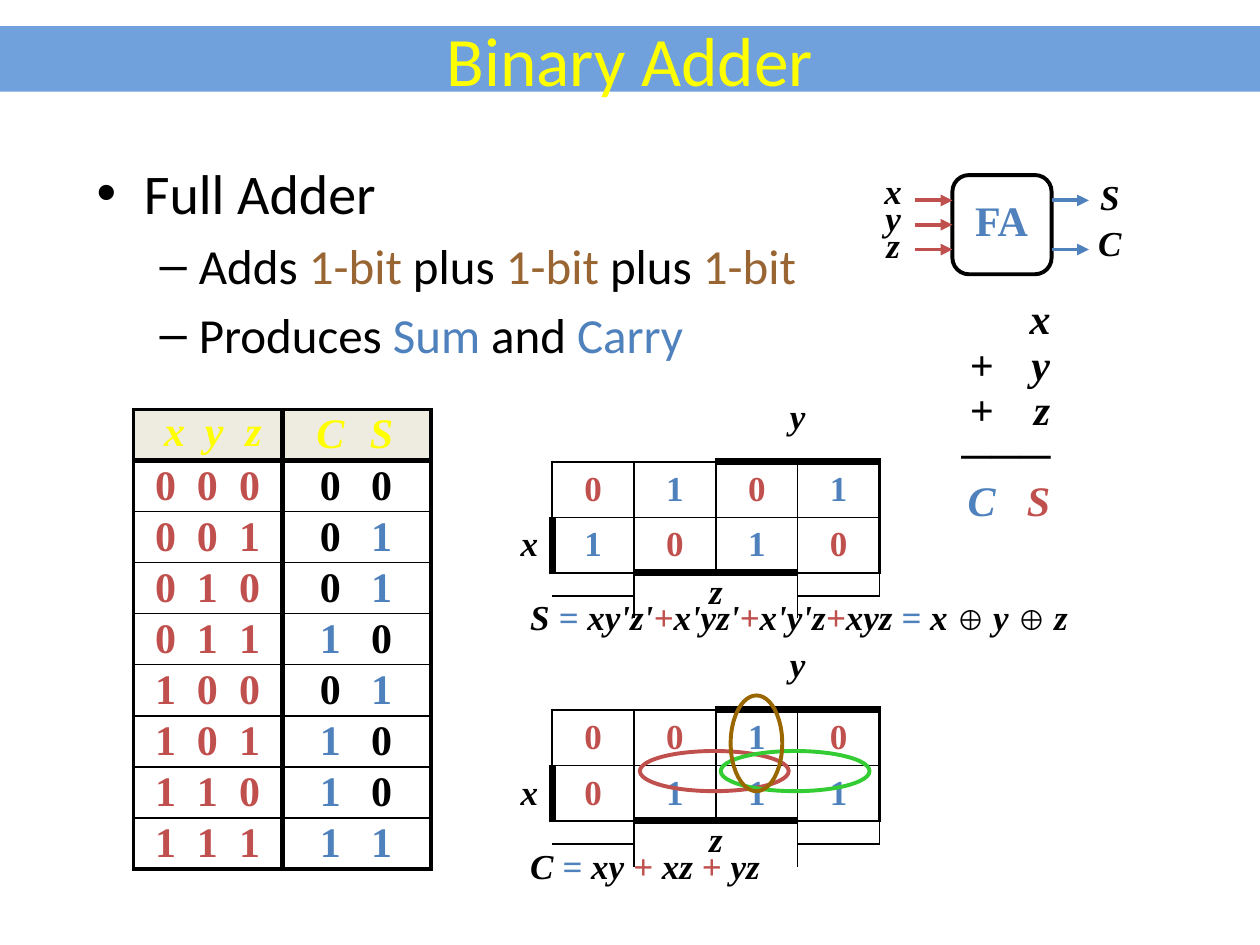
"""Build the Binary Adder slide."""
from dataclasses import dataclass
from itertools import product
from pptx import Presentation
from pptx import util as u
from pptx.dml import color
from pptx.enum import shapes, text
from pptx.oxml import ns, xmlchemy

BLACK, RED, BLUE, BROWN, YELLOW = "000000", "C0504D", "4F81BD", "996633", "FFFF00"
LEFT, MID, RIGHT = text.PP_ALIGN.LEFT, text.PP_ALIGN.CENTER, text.PP_ALIGN.RIGHT
TOP, CENTER = text.MSO_ANCHOR.TOP, text.MSO_ANCHOR.MIDDLE
PLAIN = "{2D5ABB26-0587-4C30-8999-92F81FD0307C}"


@dataclass
class Run:
    txt: str
    hue: str = BLACK
    size: float = 20
    slant: bool = True
    bold: bool = True
    font: str = "Times New Roman"


@dataclass
class Para:
    runs: list
    align: int = LEFT
    gap: float = 0
    lead: float = 1
    stops: tuple = ()
    dent: tuple = ()
    mark: str = ""


@dataclass
class Box:
    left: float
    top: float
    width: float
    height: float

    def place(self) -> tuple:
        """Give the four lengths."""
        return tuple(u.Cm(n) for n in (self.left, self.top, self.width, self.height))


def rgb(code: str) -> color.RGBColor:
    """Turn a hex string into a colour."""
    return color.RGBColor.from_string(code)


def add(parent, tag: str, **attrs):
    """Append a DrawingML child element."""
    child = xmlchemy.OxmlElement(tag)
    for key, val in attrs.items():
        child.set(key, str(val))
    parent.append(child)
    return child


def write(frame, paras: list) -> None:
    """Write paragraphs into a text frame, run by run."""
    for num, item in enumerate(paras):
        para = frame.add_paragraph() if num else frame.paragraphs[0]
        props = para._p.get_or_add_pPr()
        if item.mark:
            margin, hang = item.dent
            props.set("marL", str(u.Cm(margin)))
            props.set("indent", str(u.Cm(-hang)))
            add(props, "a:buFont", typeface="Arial")
            add(props, "a:buChar", char=item.mark)
        if item.stops:
            tabs = add(props, "a:tabLst")
            for spot, kind in item.stops:
                add(tabs, "a:tab", pos=u.Cm(spot), algn=kind)
        para.alignment, para.line_spacing = item.align, item.lead
        para.space_before = u.Pt(item.gap if num else 0)
        for part in item.runs:
            run = para.add_run()
            run.text = part.txt
            font = run.font
            font.name, font.size = part.font, u.Pt(part.size)
            font.bold, font.italic = part.bold, part.slant
            font.color.rgb = rgb(part.hue)


def label(slide, box: Box, paras: list, inset: bool = False, wrap: bool = True) -> None:
    """Add a text box."""
    frame = slide.shapes.add_textbox(*box.place()).text_frame
    frame.word_wrap = wrap
    if not inset:
        frame.margin_left = frame.margin_right = frame.margin_top = frame.margin_bottom = 0
    write(frame, paras)


def outline(slide, kind, box: Box, hue: str) -> None:
    """Add an unfilled shape."""
    shape = slide.shapes.add_shape(kind, *box.place())
    shape.shadow.inherit = False
    shape.fill.background()
    shape.line.color.rgb, shape.line.width = rgb(hue), u.Pt(2.25)


def arrow(slide, start: float, end: float, level: float, hue: str) -> None:
    """Add a level arrow."""
    ends = [u.Cm(n) for n in (start, level, end, level)]
    line = slide.shapes.add_connector(shapes.MSO_CONNECTOR.STRAIGHT, *ends)
    line.line.color.rgb, line.line.width = rgb(hue), u.Pt(2.25)
    add(line.line._get_or_add_ln(), "a:tailEnd", type="triangle")
    add(line._element.spPr, "a:effectLst")


def grid(slide, left: float, top: float, cols: list, rows: list):
    """Add a table without a style."""
    box = Box(left, top, sum(cols), sum(rows))
    table = slide.shapes.add_table(len(rows), len(cols), *box.place()).table
    table.first_row = table.horz_banding = False
    table._tbl.tblPr.find(ns.qn("a:tableStyleId")).text = PLAIN
    for col, size in zip(table.columns, cols):
        col.width = u.Cm(size)
    for row, size in zip(table.rows, rows):
        row.height = u.Cm(size)
    return table


def cell(table, row: int, col: int, para: Para = None, anchor=CENTER, fill: str = "", **edges) -> None:
    """Fill one cell; edges are widths keyed L, R, T, B."""
    spot = table.cell(row, col)
    spot.margin_left = spot.margin_right = spot.margin_top = spot.margin_bottom = 0
    spot.vertical_anchor = anchor
    props = spot._tc.get_or_add_tcPr()
    for side in "LRTB":
        if side in edges:
            line = add(props, "a:ln" + side, w=u.Pt(edges[side]))
            add(add(line, "a:solidFill"), "a:srgbClr", val=BLACK)
    if fill:
        spot.fill.solid()
        spot.fill.fore_color.rgb = rgb(fill)
    else:
        spot.fill.background()
    if para:
        write(spot.text_frame, [para])
    else:
        add(spot.text_frame.paragraphs[0]._p, "a:endParaRPr", sz=100)


def truth(slide) -> None:
    """Draw the truth table."""
    table = grid(slide, 2.69, 8.25, [3, 3], [1.03] * 9)
    ins, outs = [(n, "ctr") for n in (0.65, 1.49, 2.34)], [(n, "ctr") for n in (0.97, 2)]
    heads = [(n, "ctr") for n in (0.83, 1.63, 2.42)]
    lines = [([Run("\tx\ty\tz", YELLOW, 24)], [Run("\tC\tS", YELLOW, 24)])]
    for bits in product((0, 1), repeat=3):
        given = [Run(f"\t{n}", RED, 24, False) for n in bits]
        made = [Run(f"\t{n}", BLUE if n else BLACK, 24, False) for n in (sum(bits) // 2, sum(bits) % 2)]
        lines.append((given, made))
    for row, (given, made) in enumerate(lines):
        edges = {"T": {0: 2.25, 1: 3}.get(row, 1), "B": {0: 3, 8: 2.25}.get(row, 1)}
        fill = "" if row else "EEECE1"
        cell(table, row, 0, Para(given, stops=ins if row else heads), CENTER if row else TOP, fill, L=2.25, R=3, **edges)
        cell(table, row, 1, Para(made, stops=outs), CENTER, fill, L=3, R=2.25, **edges)


def kmap(slide, top: float, bits: tuple) -> None:
    """Draw a Karnaugh map from two rows of bits."""
    table = grid(slide, 10.21, top, [0.46] * 2 + [1.65] * 4, [0.43] * 2 + [1.12] * 2 + [0.46] * 2)
    notes = {(0, 4): ("y", TOP, {"B": 4.5}), (3, 0): ("x", CENTER, {"R": 4.5}),
             (4, 3): ("z", TOP, {"L": 1, "T": 4.5, "R": 1})}
    rims = {(0, 2): {"B": 1.5}, (1, 3): {"B": 1.5}, (4, 2): {"T": 1.5, "R": 1}, (4, 5): {"L": 1, "T": 1.5}}
    for row, col in product(range(6), repeat=2):
        if row in (2, 3) and col > 1:
            bit, low, spot = bits[row - 2][col - 2], row == 3, col - 2
            edges = {"L": 1 if spot else (4.5 if low else 1.5), "R": 1.5 if spot == 3 else 1,
                     "T": 1 if low else (4.5 if spot > 1 else 1.5),
                     "B": (4.5 if spot in (1, 2) else 1.5) if low else 1}
            run = Run(bit, BLUE if bit == "1" else RED, slant=False)
            cell(table, row, col, Para([run], MID), **edges)
        elif (row, col) in notes:
            name, anchor, edges = notes[row, col]
            cell(table, row, col, Para([Run(name)], MID), anchor, **edges)
        else:
            cell(table, row, col, **rims.get((row, col), {}))
    for first, last in (((0, 0), (1, 1)), ((0, 2), (1, 2)), ((0, 4), (1, 5)),
                        ((3, 0), (3, 1)), ((4, 0), (5, 1)), ((4, 3), (5, 4))):
        table.cell(*first).merge(table.cell(*last))


def adder(slide) -> None:
    """Draw the full adder block and the column sum."""
    outline(slide, shapes.MSO_SHAPE.ROUNDED_RECTANGLE, Box(19.2, 3.53, 2, 2), BLACK)
    for level in (4.04, 4.53, 5.03):
        arrow(slide, 18.44, 19.2, level, RED)
    for level in (4.04, 5.03):
        arrow(slide, 21.2, 21.95, level, BLUE)
    label(slide, Box(19.63, 4.04, 1.12, 0.91), [Para([Run("FA", BLUE, 24, False)], MID, lead=0.9)], wrap=False)
    label(slide, Box(17.75, 3.68, 0.51, 1.65), [Para([Run(n)], MID, lead=0.65) for n in "xyz"])
    label(slide, Box(22.12, 3.63, 0.51, 1.73), [Para([Run(n)], MID, 5, 0.9) for n in "SC"])
    stops = ((1.1, "ctr"), (2.48, "r"))
    terms = [Para([Run("x", size=24)], RIGHT, lead=0.9)]
    terms += [Para([Run(f"\t+\t{n}", size=24)], lead=0.9, stops=stops) for n in "yz"]
    terms += [Para([Run("───", size=24)], RIGHT, lead=0.9),
              Para([Run("\tC", BLUE, 24), Run("\tS", RED, 24)], lead=0.9, stops=stops)]
    label(slide, Box(18.69, 6.02, 2.49, 4.57), terms)


def main() -> None:
    """Build and save the slide."""
    deck = Presentation()
    deck.slide_width, deck.slide_height = u.Cm(25.4), u.Cm(19.05)
    slide = deck.slides.add_slide(deck.slide_layouts[6])
    band = slide.shapes.add_shape(shapes.MSO_SHAPE.RECTANGLE, *Box(0, 0.53, 25.4, 1.32).place())
    band.shadow.inherit = False
    band.fill.solid()
    band.fill.fore_color.rgb = rgb("71A1DC")
    band.line.fill.background()
    band.text_frame.vertical_anchor = CENTER
    write(band.text_frame, [Para([Run("Binary Adder", YELLOW, 39.6, False, False, "Calibri")], MID)])

    def sans(*parts, size=28):
        """Make plain Calibri runs."""
        return [Run(txt, hue, size, False, False, "Calibri") for txt, hue in parts]

    adds = sans(("Adds ", BLACK), ("1-bit", BROWN), (" plus ", BLACK), ("1-bit ", BROWN), ("plus ", BLACK), ("1-bit", BROWN))
    makes = sans(("Produces ", BLACK), ("Sum", BLUE), (" and ", BLACK), ("Carry", BLUE))
    points = [Para(sans(("Full Adder", BLACK), size=32), dent=(0.95, 0.95), mark="•")]
    points += [Para(runs, gap=5.6, dent=(2.06, 0.79), mark="–") for runs in (adds, makes)]
    label(slide, Box(1.7, 3.07, 23.01, 4.37), points, inset=True)
    truth(slide)
    adder(slide)
    kmap(slide, 8.03, ("0101", "1010"))
    kmap(slide, 13.03, ("0010", "0111"))
    for box, hue in ((Box(12.9, 15.14, 3, 0.81), RED), (Box(14.53, 15.14, 3, 0.81), "33CC33"),
                     (Box(14.73, 14.02, 1.04, 1.93), "996600")):
        outline(slide, shapes.MSO_SHAPE.OVAL, box, hue)
    hues = {"+": RED, "+ ": RED, "= ": BLUE}
    total = ["S ", "= ", "xy'z'", "+", "x'yz'", "+", "x'y'z", "+", "xyz ", "= ", "x ", "⊕", " y ", "⊕", " z"]
    carry = ["C ", "= ", "xy ", "+ ", "xz ", "+ ", "yz"]
    for terms, top, width in ((total, 12.01, 11), (carry, 17.02, 5)):
        runs = [Run(n, hues.get(n, BLACK), 16 if n == "⊕" else 20, n != "⊕") for n in terms]
        label(slide, Box(10.69, top, width, 0.84), [Para(runs)])
    deck.save("out.pptx")


if __name__ == "__main__":
    main()
